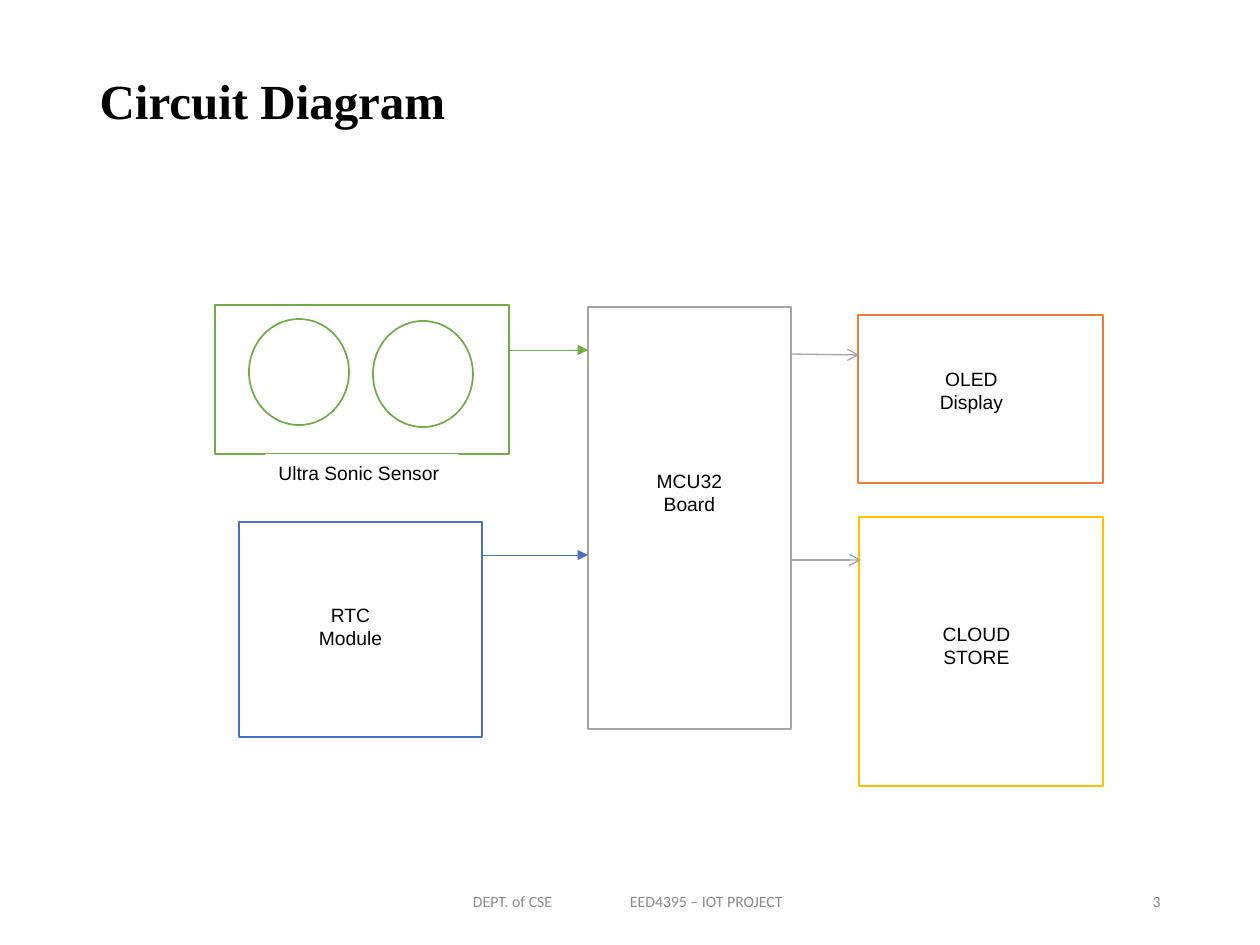
import pptx
import pptx.dml.color
import pptx.enum.shapes
import pptx.enum.text
import pptx.oxml
import pptx.oxml.ns
import pptx.util

RGB = pptx.dml.color.RGBColor
SHAPE = pptx.enum.shapes.MSO_SHAPE
ALIGN = pptx.enum.text.PP_ALIGN
ANCHOR = pptx.enum.text.MSO_ANCHOR
SCALE = 914400 / 126

WHITE = RGB(0xFF, 0xFF, 0xFF)
BLACK = RGB(0x00, 0x00, 0x00)
GREEN = RGB(0x70, 0xAD, 0x47)
BLUE = RGB(0x44, 0x72, 0xC4)
GRAY = RGB(0xA5, 0xA5, 0xA5)
ORANGE = RGB(0xED, 0x7D, 0x31)
GOLD = RGB(0xFF, 0xC0, 0x00)
DIM = RGB(0x8C, 0x8C, 0x8C)

HEAD = {"name": "Times New Roman", "size": pptx.util.Pt(28), "bold": True}
BODY = {"name": "Arial", "size": pptx.util.Pt(11)}
FOOT = {"name": "Calibri", "size": pptx.util.Pt(9)}


def px(count):
    """Turn px into EMU."""
    return round(count * SCALE)


def add_xml(parent, tag, inner="", **values):
    """Append a drawing element to its parent."""
    space = pptx.oxml.ns.nsdecls("a")
    pairs = " ".join(f'{key}="{value}"' for key, value in values.items())
    parent.append(pptx.oxml.parse_xml(f"<a:{tag} {space} {pairs}>{inner}</a:{tag}>"))


class Board:
    """Holds the style and the current slide."""

    def __init__(self, deck):
        self.slide = deck.slides.add_slide(deck.slide_layouts[5])
        self.shapes = self.slide.shapes

    def letter(self, shape, text, style, color, align, anchor):
        """Fill a shape with styled text."""
        frame = shape.text_frame
        frame.text = text
        for key, value in {"word_wrap": True, "vertical_anchor": anchor}.items():
            setattr(frame, key, value)
        for part in frame.paragraphs:
            part.alignment = align
            for key, value in style.items():
                setattr(part.font, key, value)
            part.font.color.rgb = color
        return frame

    def title(self, text, *place):
        """Place and format the title."""
        shape = self.shapes.title
        for key, value in zip(("left", "top", "width", "height"), place):
            setattr(shape, key, px(value))
        frame = self.letter(shape, text, HEAD, BLACK, ALIGN.LEFT, ANCHOR.MIDDLE)
        frame.paragraphs[0].line_spacing = 0.9

    def foot(self, text, align, *place):
        """Add a footer text box."""
        shape = self.shapes.add_textbox(*map(px, place))
        return self.letter(shape, text, FOOT, DIM, align, ANCHOR.MIDDLE)

    def block(self, kind, color, *place, width=1):
        """Add a white outlined shape."""
        shape = self.shapes.add_shape(kind, *map(px, place))
        shape.shadow.inherit = False
        shape.fill.solid()
        shape.fill.fore_color.rgb = WHITE
        shape.line.color.rgb = color
        shape.line.width = pptx.util.Pt(width)
        return shape

    def label(self, text, align, *place):
        """Add a white box with black text."""
        shape = self.block(SHAPE.RECTANGLE, WHITE, *place, width=0.75)
        self.letter(shape, text, BODY, BLACK, align, ANCHOR.TOP)

    def arrow(self, color, width, tip, *ends):
        """Add a line with a tip at its far end."""
        kind = pptx.enum.shapes.MSO_CONNECTOR.STRAIGHT
        link = self.shapes.add_connector(kind, *map(px, ends))
        link.line.color.rgb = color
        link.line.width = pptx.util.Pt(width)
        add_xml(link.get_or_add_ln(), "tailEnd", type=tip)
        add_xml(link.element.spPr, "effectLst")


def main():
    """Build the circuit slide."""
    deck = pptx.Presentation()
    deck.slide_width, deck.slide_height = px(1260), px(945)
    board = Board(deck)
    board.title("Circuit Diagram", 87, 50, 700, 107)

    frame = board.foot("DEPT. of CSE\tEED4395 – IOT PROJECT", ALIGN.LEFT, 417, 876, 426, 50)
    frame.margin_left = px(56)
    stop = f'<a:tab pos="{px(157)}" algn="l"/>'
    add_xml(frame.paragraphs[0]._p.get_or_add_pPr(), "tabLst", stop)
    board.foot("3", ALIGN.RIGHT, 890, 876, 283, 50)

    for kind, color, *place in (
        (SHAPE.RECTANGLE, GREEN, 215, 305, 294, 149),
        (SHAPE.OVAL, GREEN, 249, 319, 100, 106),
        (SHAPE.OVAL, GREEN, 373, 321, 100, 106),
        (SHAPE.RECTANGLE, BLUE, 239, 522, 243, 215),
        (SHAPE.RECTANGLE, GRAY, 588, 307, 203, 422),
        (SHAPE.RECTANGLE, ORANGE, 858, 315, 245, 168),
        (SHAPE.RECTANGLE, GOLD, 859, 517, 244, 269),
    ):
        board.block(kind, color, *place)

    board.label("Ultra Sonic Sensor", ALIGN.LEFT, 266, 455, 192, 34)
    for text, left, top in (
        ("RTC\nModule", 299, 597),
        ("MCU32\nBoard", 638, 463),
        ("OLED Display", 920, 361),
        ("CLOUD STORE", 925, 616),
    ):
        board.label(text, ALIGN.CENTER, left, top, 103, 64)

    for color, width, tip, *ends in (
        (GREEN, 0.5, "triangle", 510, 350, 588, 350),
        (BLUE, 0.5, "triangle", 482, 555, 588, 555),
        (GRAY, 0.75, "arrow", 790, 354, 859, 355),
        (GRAY, 0.75, "arrow", 792, 560, 861, 560),
    ):
        board.arrow(color, width, tip, *ends)

    deck.save("out.pptx")


if __name__ == "__main__":
    main()
